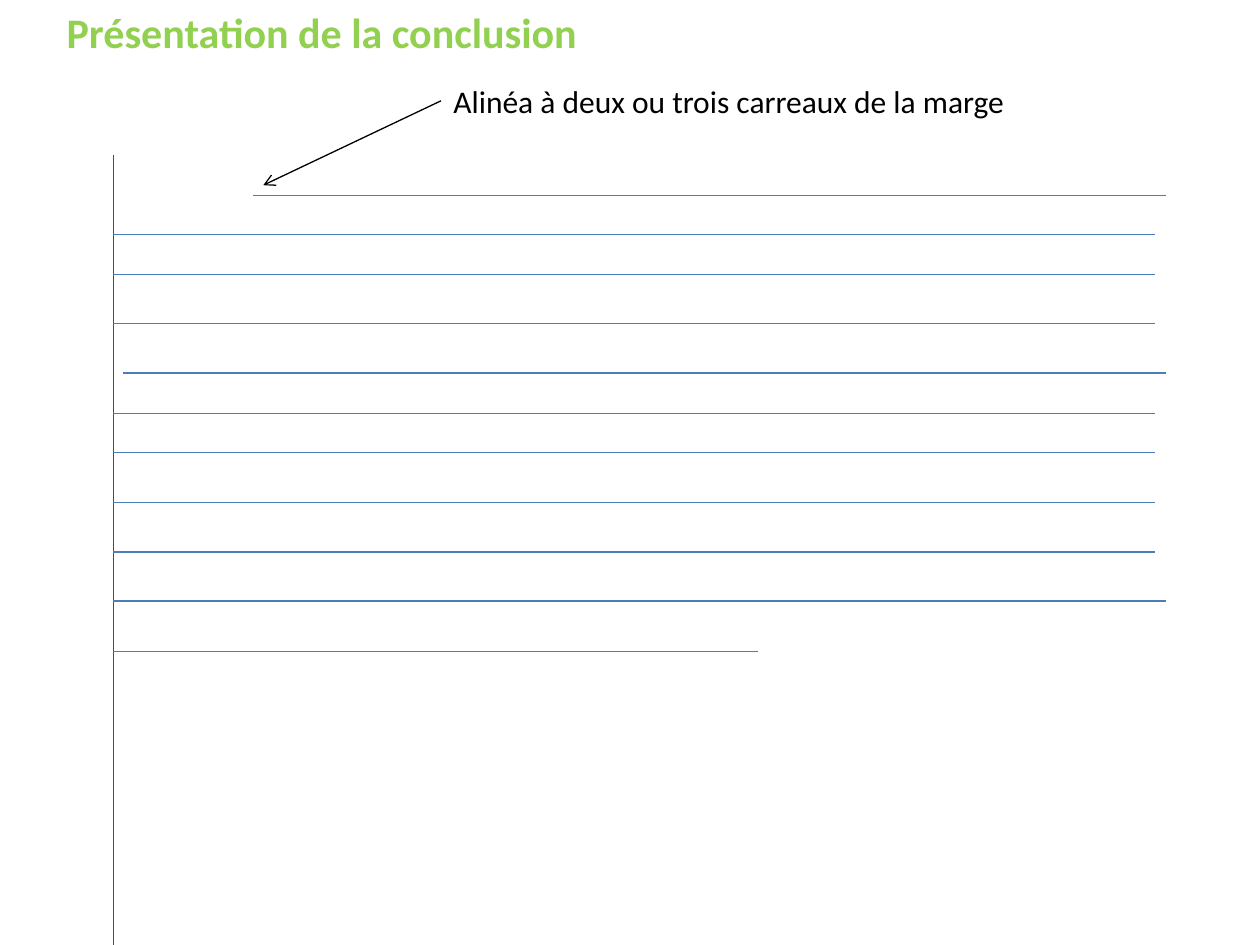
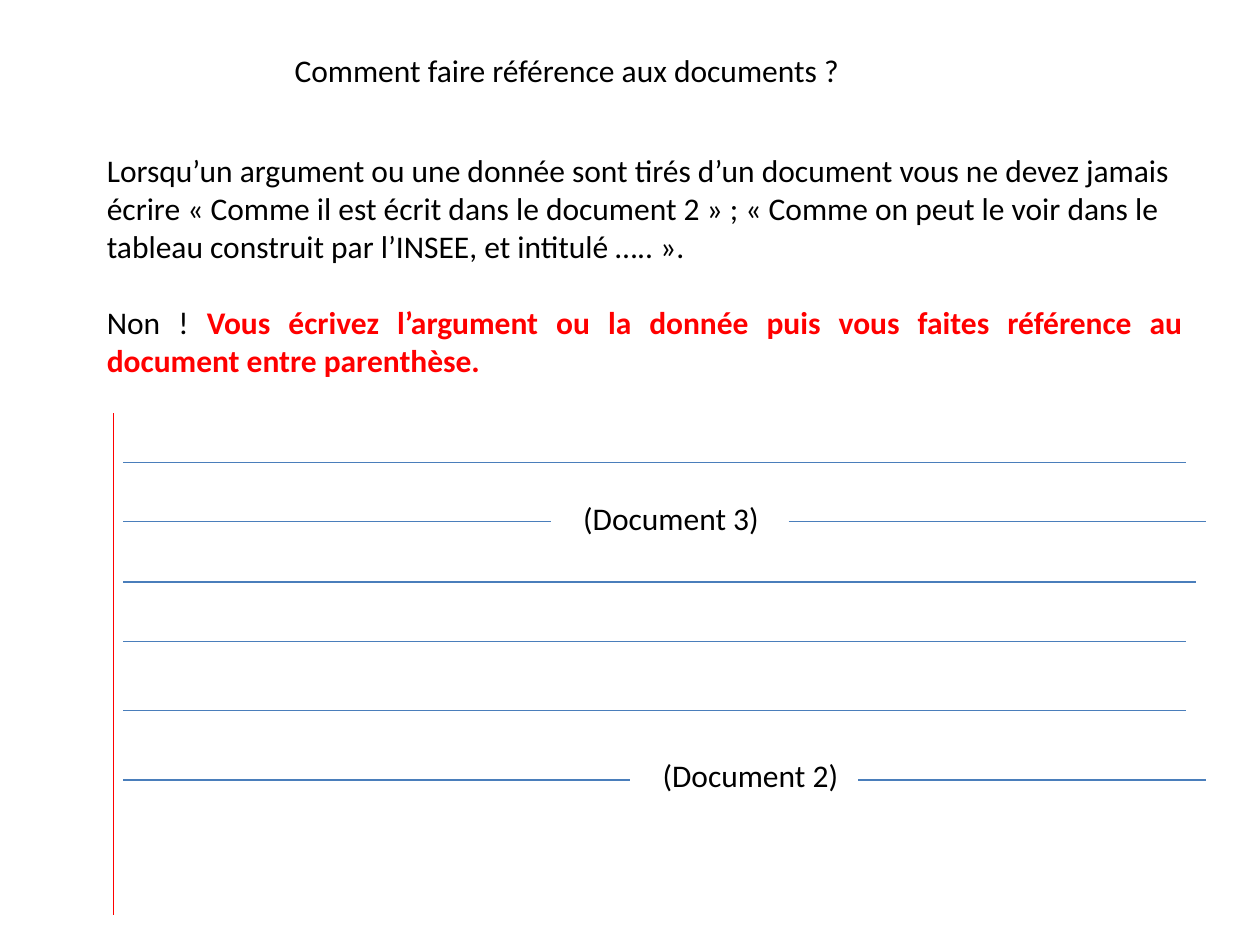
from dataclasses import dataclass

from lxml import etree
from pptx import Presentation
from pptx.dml.color import RGBColor
from pptx.enum.shapes import MSO_CONNECTOR
from pptx.enum.text import MSO_AUTO_SIZE, PP_ALIGN
from pptx.oxml.ns import qn
from pptx.shapes.connector import Connector
from pptx.slide import Slide
from pptx.text.text import _Paragraph
from pptx.util import Inches, Pt

STRAIGHT = MSO_CONNECTOR.STRAIGHT
NO_RESIZE = MSO_AUTO_SIZE.NONE
JUSTIFIED = PP_ALIGN.JUSTIFY

FONT = "Calibri"
BLACK = RGBColor(0x00, 0x00, 0x00)
RED = RGBColor(0xFF, 0x00, 0x00)
GREEN = RGBColor(0x92, 0xD0, 0x50)
RULE_BLUE = RGBColor(0x4A, 0x7E, 0xBB)

BODY_SIZE = 18
TITLE_SIZE = 24
LINE_WIDTH = Pt(0.75)
MARGIN_X = 0.9
INSET_X = 0.98


@dataclass(frozen=True)
class Passage:
    text: str
    color: RGBColor = BLACK
    size: int = BODY_SIZE
    bold: bool = False


@dataclass(frozen=True)
class Label:
    left: float
    top: float
    width: float
    height: float
    passage: Passage


@dataclass(frozen=True)
class Rule:
    y: float
    start: float = MARGIN_X
    end: float = 9.17


CONCLUSION_TITLE = Label(
    0.43, 0, 9.21, 0.5, Passage("Présentation de la conclusion", GREEN, TITLE_SIZE, True)
)
INDENT_NOTE = Label(3.5, 0.6, 4.88, 0.4, Passage("Alinéa à deux ou trois carreaux de la marge"))
CONCLUSION_RULES = [
    Rule(1.55, 2.01, 9.25),
    *(Rule(y) for y in (1.86, 2.18, 2.57)),
    Rule(2.96, INSET_X, 9.25),
    *(Rule(y) for y in (3.28, 3.59, 3.99, 4.38)),
    Rule(4.77, end=9.25),
    Rule(5.17, end=6.02),
]

REFERENCE_TITLE = Label(2.24, 0.36, 7.17, 0.4, Passage("Comment faire référence aux documents ?"))
ADVICE = Label(
    0.75, 1.15, 8.74, 1.9,
    Passage(
        "Lorsqu’un argument ou une donnée sont tirés d’un document vous ne devez jamais "
        "écrire « Comme il est écrit dans le document 2 » ; « Comme on peut le voir dans le "
        "tableau construit par l’INSEE, et intitulé ….. »."
    ),
)
CORRECTION = [
    Passage("Non ! "),
    Passage(
        "Vous écrivez l’argument ou la donnée puis vous faites référence au "
        "document entre parenthèse.",
        RED,
        bold=True,
    ),
]
CITATIONS = [
    Label(4.53, 3.91, 1.89, 0.4, Passage("(Document 3)")),
    Label(5.16, 5.95, 1.89, 0.4, Passage("(Document 2)")),
]
REFERENCE_RULES = [
    Rule(3.67, INSET_X, 9.41),
    Rule(4.14, INSET_X, 4.37),
    Rule(4.14, 6.26, 9.57),
    Rule(4.62, INSET_X, 9.49),
    Rule(5.09, INSET_X, 9.41),
    Rule(5.64, INSET_X, 9.41),
    Rule(6.19, INSET_X, 5),
    Rule(6.19, 6.81, 9.57),
]


def add_passage(paragraph: _Paragraph, passage: Passage) -> None:
    run = paragraph.add_run()
    run.text = passage.text
    run.font.name = FONT
    run.font.size = Pt(passage.size)
    run.font.bold = passage.bold
    run.font.color.rgb = passage.color


def add_label(slide: Slide, label: Label, *following: list[Passage]) -> None:
    box = slide.shapes.add_textbox(
        Inches(label.left), Inches(label.top), Inches(label.width), Inches(label.height)
    )
    frame = box.text_frame
    frame.word_wrap = True
    frame.auto_size = NO_RESIZE
    add_passage(frame.paragraphs[0], label.passage)
    for passages in following:
        paragraph = frame.add_paragraph()
        paragraph.alignment = JUSTIFIED
        paragraph.space_before = Pt(22)
        for passage in passages:
            add_passage(paragraph, passage)


def add_line(
    slide: Slide, x1: float, y1: float, x2: float, y2: float, color: RGBColor
) -> Connector:
    line = slide.shapes.add_connector(STRAIGHT, Inches(x1), Inches(y1), Inches(x2), Inches(y2))
    line.line.color.rgb = color
    line.line.width = LINE_WIDTH
    etree.SubElement(line._element.spPr, qn("a:effectLst"))
    return line


def add_arrow(slide: Slide, x1: float, y1: float, x2: float, y2: float) -> None:
    arrow = add_line(slide, x1, y1, x2, y2, BLACK)
    etree.SubElement(arrow.line._get_or_add_ln(), qn("a:tailEnd"), type="arrow")


def add_ruled_page(slide: Slide, top: float, bottom: float, rules: list[Rule]) -> None:
    add_line(slide, MARGIN_X, top, MARGIN_X, bottom, RED)
    for rule in rules:
        add_line(slide, rule.start, rule.y, rule.end, rule.y, RULE_BLUE)


def build_conclusion(slide: Slide) -> None:
    add_label(slide, CONCLUSION_TITLE)
    add_ruled_page(slide, 1.23, 7.5, CONCLUSION_RULES)
    add_arrow(slide, 3.5, 0.8, 2.09, 1.47)
    add_label(slide, INDENT_NOTE)


def build_references(slide: Slide) -> None:
    add_label(slide, REFERENCE_TITLE)
    add_label(slide, ADVICE, CORRECTION)
    add_ruled_page(slide, 3.28, 7.26, REFERENCE_RULES)
    for citation in CITATIONS:
        add_label(slide, citation)


def main() -> None:
    deck = Presentation()
    deck.slide_width = Inches(10)
    deck.slide_height = Inches(7.5)
    blank = deck.slide_layouts[6]
    for build in (build_conclusion, build_references):
        build(deck.slides.add_slide(blank))
    deck.save("out.pptx")


if __name__ == "__main__":
    main()
